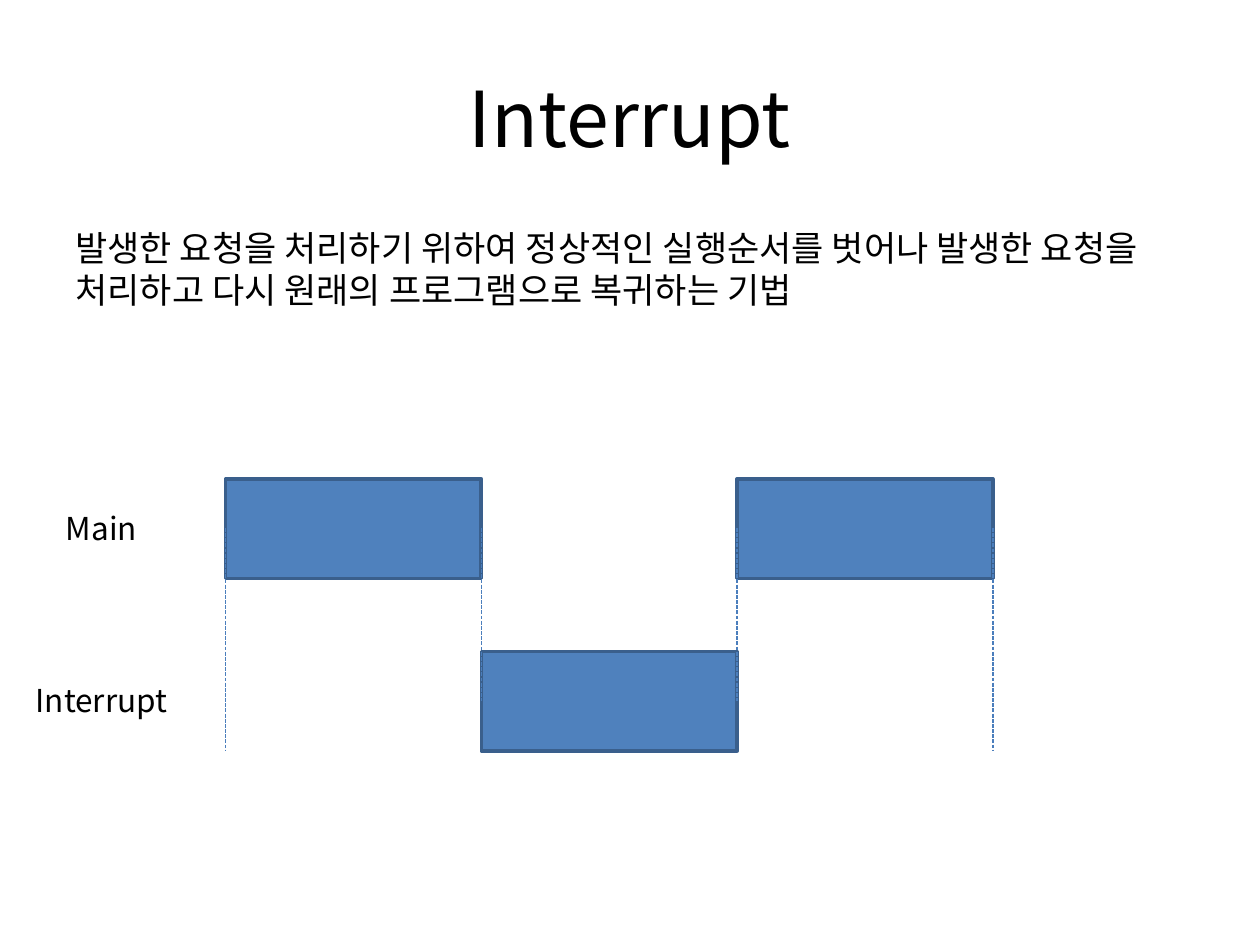
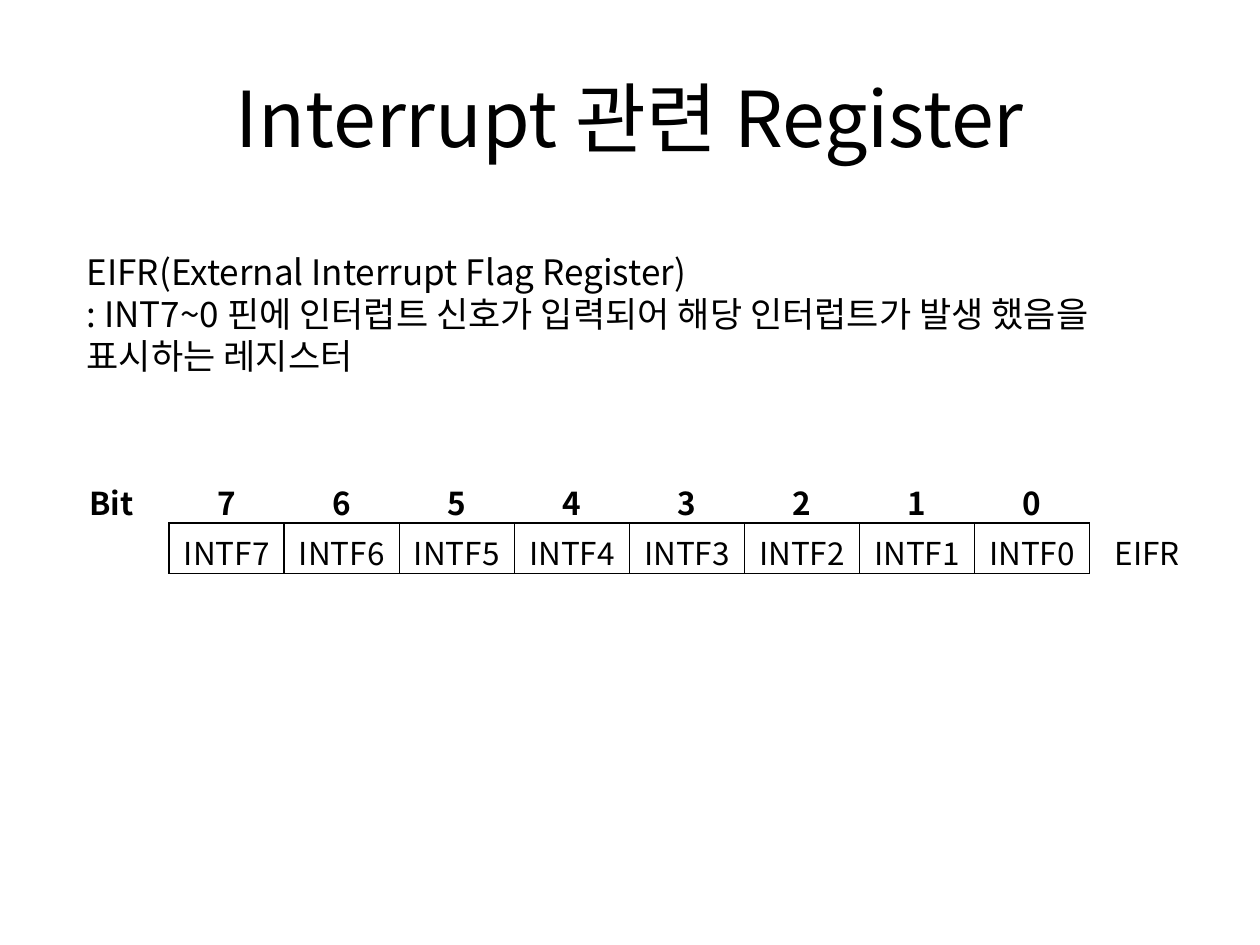
from dataclasses import dataclass

from lxml import etree
from pptx import Presentation
from pptx.dml.color import RGBColor
from pptx.enum.dml import MSO_LINE
from pptx.enum.shapes import MSO_CONNECTOR as Connector, MSO_SHAPE as Preset
from pptx.enum.text import MSO_ANCHOR as Anchor, PP_ALIGN as Align
from pptx.oxml.ns import qn
from pptx.util import Emu, Pt

EMU_PER_PX = 9144
FONT = "Noto Sans CJK KR"
COLORS = {"text": "000000", "block": "4F81BD", "edge": "3A5F8C", "guide": "4B7EBC"}

BLOCK_LEFT, BLOCK_WIDTH, BLOCK_HEIGHT = 179, 203, 79
LANE_TOPS = {"Main": 380, "Interrupt": 517}
SCHEDULE = ["Main", "Interrupt", "Main"]
BITS = range(7, -1, -1)


@dataclass(frozen=True)
class TextBlock:
    """Text with its place in px and its style."""

    text: str
    left: int
    top: int
    width: int
    height: int
    size: int = 20
    align: Align = Align.LEFT
    anchor: Anchor = Anchor.TOP


def px(length: int) -> Emu:
    """Turn px into EMU."""
    return Emu(length * EMU_PER_PX)


def color(name: str) -> RGBColor:
    """Look up a named colour."""
    return RGBColor.from_string(COLORS[name])


def style_text(text_frame, size: int, align: Align, bold: bool = False) -> None:
    """Apply the shared font to every run."""
    for paragraph in text_frame.paragraphs:
        paragraph.alignment = align
        for run in paragraph.runs:
            run.font.name = FONT
            run.font.size = Pt(size)
            run.font.bold = bold
            run.font.color.rgb = color("text")
            east_asian = etree.Element(qn("a:ea"), typeface=FONT)
            run.font._element.find(qn("a:latin")).addnext(east_asian)


def add_text(slide, block: TextBlock) -> None:
    """Draw a text block."""
    shape = slide.shapes.add_textbox(
        px(block.left), px(block.top), px(block.width), px(block.height)
    )
    text_frame = shape.text_frame
    text_frame.word_wrap = True
    text_frame.vertical_anchor = block.anchor
    text_frame.text = block.text
    style_text(text_frame, block.size, block.align)


def add_titled_slide(presentation, title: str):
    """Add a blank slide with the shared title."""
    slide = presentation.slides.add_slide(presentation.slide_layouts[6])
    add_text(slide, TextBlock(title, 50, 30, 900, 125, 44, Align.CENTER, Anchor.MIDDLE))
    return slide


def add_block(slide, left: int, top: int) -> None:
    """Draw one stretch of program execution."""
    shape = slide.shapes.add_shape(
        Preset.RECTANGLE, px(left), px(top), px(BLOCK_WIDTH), px(BLOCK_HEIGHT)
    )
    shape.shadow.inherit = False
    shape.fill.solid()
    shape.fill.fore_color.rgb = color("block")
    shape.line.color.rgb = color("edge")
    shape.line.width = Pt(2)


def add_guide(slide, x: int, top: int, bottom: int) -> None:
    """Draw a dashed vertical guide."""
    guide = slide.shapes.add_connector(Connector.STRAIGHT, px(x), px(top), px(x), px(bottom))
    guide.line.color.rgb = color("guide")
    guide.line.width = Pt(0.75)
    guide.line.dash_style = MSO_LINE.SQUARE_DOT
    etree.SubElement(guide._element.spPr, qn("a:effectLst"))


def add_timeline(slide) -> None:
    """Draw the switch from the main program to the interrupt and back."""
    for index, lane in enumerate(SCHEDULE):
        add_block(slide, BLOCK_LEFT + index * BLOCK_WIDTH, LANE_TOPS[lane])
    middles = {lane: top + BLOCK_HEIGHT // 2 for lane, top in LANE_TOPS.items()}
    lane_bottom = LANE_TOPS["Interrupt"] + BLOCK_HEIGHT
    for index in range(len(SCHEDULE) + 1):
        outer = index in (0, len(SCHEDULE))
        bottom = lane_bottom if outer else middles["Interrupt"]
        add_guide(slide, BLOCK_LEFT + index * BLOCK_WIDTH, middles["Main"], bottom)
    for lane, middle in middles.items():
        add_text(slide, TextBlock(lane, 1, middle - 20, 159, 40, 18, Align.CENTER))


def add_borders(cell, sides: str) -> None:
    """Draw the named cell sides and clear the others."""
    properties = cell._tc.get_or_add_tcPr()
    for side in "LRTB":
        line = etree.SubElement(properties, qn(f"a:ln{side}"), w=str(Pt(1)))
        if side in sides:
            fill = etree.SubElement(line, qn("a:solidFill"))
            etree.SubElement(fill, qn("a:srgbClr"), val=COLORS["text"])
        else:
            etree.SubElement(line, qn("a:noFill"))


def add_register_table(slide, name: str) -> None:
    """Draw the bit layout of a register."""
    rows = [
        ["Bit", *map(str, BITS), ""],
        ["", *(f"INTF{bit}" for bit in BITS), name],
    ]
    last = len(rows[0]) - 1
    table = slide.shapes.add_table(
        len(rows), last + 1, px(43), px(375), px(913), px(80)
    ).table
    table.first_row = table.horz_banding = False
    for row, texts in enumerate(rows):
        for column, text in enumerate(texts):
            cell = table.cell(row, column)
            cell.text = text
            cell.vertical_anchor = Anchor.MIDDLE
            style_text(cell.text_frame, 18, Align.CENTER, bold=row == 0)
            if 0 < column < last:
                sides = "LRTB" if row else "B"
            else:
                sides = ("R" if column == 0 else "L") if row else ""
            add_borders(cell, sides)
            cell.fill.background()


def main() -> None:
    """Build and save the presentation."""
    presentation = Presentation()
    presentation.slide_width, presentation.slide_height = px(1000), px(750)

    slide = add_titled_slide(presentation, "Interrupt")
    add_text(slide, TextBlock(
        "발생한 요청을 처리하기 위하여 정상적인 실행순서를 벗어나 발생한 요청을 "
        "처리하고 다시 원래의 프로그램으로 복귀하는 기법",
        50, 175, 900, 161,
    ))
    add_timeline(slide)

    slide = add_titled_slide(presentation, "Interrupt 관련 Register")
    add_text(slide, TextBlock(
        "EIFR(External Interrupt Flag Register)\n"
        ": INT7~0 핀에 인터럽트 신호가 입력되어 해당 인터럽트가 발생 했음을 "
        "표시하는 레지스터",
        59, 194, 866, 111,
    ))
    add_register_table(slide, "EIFR")

    presentation.save("out.pptx")


if __name__ == "__main__":
    main()
